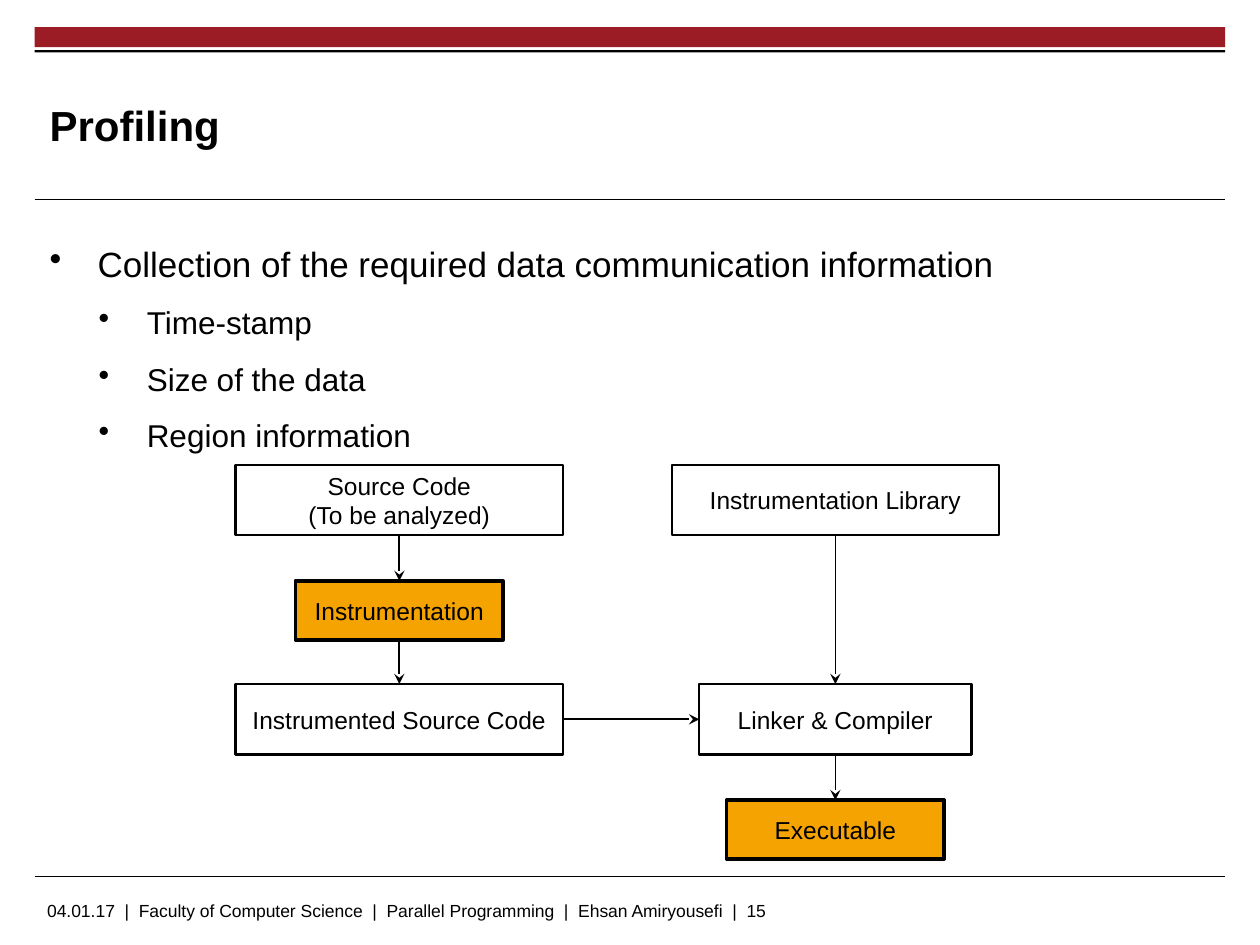
from dataclasses import dataclass
from typing import Any

from lxml.etree import SubElement as Sub
from pptx import Presentation
from pptx.dml.color import RGBColor as Rgb
from pptx.enum.shapes import MSO_CONNECTOR as Link, MSO_SHAPE as Form
from pptx.enum.text import MSO_ANCHOR as Anchor, MSO_AUTO_SIZE as Fit, PP_ALIGN as Align
from pptx.oxml.ns import qn
from pptx.util import Cm, Pt


@dataclass(frozen=True)
class Theme:
    font: str = "Arial"
    black: Rgb = Rgb(0, 0, 0)
    white: Rgb = Rgb(255, 255, 255)
    red: Rgb = Rgb(0x9C, 0x1C, 0x26)
    gold: Rgb = Rgb(0xF5, 0xA3, 0x00)
    title: int = 24
    points: tuple[int, ...] = (20, 18)
    node: int = 14
    foot: int = 10
    thin: float = 0.6
    arrow: float = 1
    edge: float = 1.25
    bold: float = 2


@dataclass(frozen=True)
class Node:
    key: str
    text: str
    mid: float
    top: float
    width: float
    gold: bool = False


@dataclass(frozen=True)
class Arrow:
    start: str
    end: str
    sides: tuple[int, int]


THEME = Theme()
LEFT, RIGHT = 8.05, 16.84
ROWS = (9.37, 11.71, 13.79, 16.13)
TALL, SHORT = 1.42, 1.19
DOWN, ACROSS = (2, 0), (3, 1)

NODES = (
    Node("source", "Source Code\n(To be analyzed)", LEFT, ROWS[0], 6.6),
    Node("library", "Instrumentation Library", RIGHT, ROWS[0], 6.6),
    Node("probe", "Instrumentation", LEFT, ROWS[1], 4.19, True),
    Node("probed", "Instrumented Source Code", LEFT, ROWS[2], 6.6),
    Node("linker", "Linker & Compiler", RIGHT, ROWS[2], 5.49),
    Node("program", "Executable", RIGHT, ROWS[3], 4.39, True),
)
ARROWS = (
    Arrow("source", "probe", DOWN),
    Arrow("probe", "probed", DOWN),
    Arrow("library", "linker", DOWN),
    Arrow("probed", "linker", ACROSS),
    Arrow("linker", "program", DOWN),
)
POINTS = (
    (0, "Collection of the required data communication information"),
    (1, "Time-stamp"),
    (1, "Size of the data"),
    (1, "Region information"),
)
FOOT = "  |  ".join(("04.01.17", "Faculty of Computer Science",
                     "Parallel Programming", "Ehsan Amiryousefi", "15"))


def apply(item: Any, **values: Any) -> None:
    for name, value in values.items():
        setattr(item, name, value)


def write(shape: Any, text: str, size: float, align: Align = Align.LEFT,
          bold: bool = False, pad: tuple[float, float] = (0, 0),
          anchor: Anchor = Anchor.MIDDLE) -> None:
    frame = shape.text_frame
    frame.text = text
    across, down = map(Cm, pad)
    apply(frame, word_wrap=True, auto_size=Fit.NONE, vertical_anchor=anchor,
          margin_left=across, margin_right=across,
          margin_top=down, margin_bottom=down)
    for para in frame.paragraphs:
        para.alignment = align
        apply(para.font, name=THEME.font, size=Pt(size), bold=bold)
        para.font.color.rgb = THEME.black


def add_rect(shapes: Any, place: tuple[float, ...], fill: Rgb) -> Any:
    rect = shapes.add_shape(Form.RECTANGLE, *map(Cm, place))
    rect.shadow.inherit = False
    rect.fill.solid()
    rect.fill.fore_color.rgb = fill
    rect.line.fill.background()
    return rect


def ink(line: Any, width: float) -> None:
    line.color.rgb = THEME.black
    line.width = Pt(width)


def add_line(shapes: Any, ends: tuple[float, ...], width: float) -> Any:
    line = shapes.add_connector(Link.STRAIGHT, *map(Cm, ends))
    ink(line.line, width)
    Sub(line._element.spPr, qn("a:effectLst"))
    return line


def add_node(shapes: Any, node: Node) -> Any:
    height = SHORT if node.gold else TALL
    place = (node.mid - node.width / 2, node.top, node.width, height)
    box = add_rect(shapes, place, THEME.gold if node.gold else THEME.white)
    ink(box.line, THEME.bold if node.gold else THEME.edge)
    write(box, node.text, THEME.node, Align.CENTER, pad=(0.25, 0.13))
    return box


def add_arrow(shapes: Any, arrow: Arrow, boxes: dict[str, Any]) -> None:
    line = add_line(shapes, (0, 0, 0, 0), THEME.arrow)
    line.begin_connect(boxes[arrow.start], arrow.sides[0])
    line.end_connect(boxes[arrow.end], arrow.sides[1])
    Sub(line.line._get_or_add_ln(), qn("a:tailEnd"), type="stealth")


def add_points(shapes: Any) -> None:
    body = shapes.add_textbox(*map(Cm, (1, 4.5, 22.9, 4.8)))
    write(body, "\n".join(text for _, text in POINTS), THEME.points[0],
          pad=(0, 0.13), anchor=Anchor.TOP)
    for para, (level, _) in zip(body.text_frame.paragraphs, POINTS):
        apply(para, level=level, line_spacing=1.3,
              space_before=Pt(2), space_after=Pt(2.3))
        para.font.size = Pt(THEME.points[level])
        props = para._p.get_or_add_pPr()
        props.set("marL", str(Cm(0.97 + 0.99 * level)))
        props.set("indent", str(-Cm(0.97)))
        bullet = props.makeelement(qn("a:buChar"), {"char": "•"})
        props.find(qn("a:defRPr")).addprevious(bullet)


def main() -> None:
    deck = Presentation()
    apply(deck, slide_width=Cm(25.4), slide_height=Cm(19.05))
    slide = deck.slides.add_slide(deck.slide_layouts[5])
    shapes = slide.shapes

    add_rect(shapes, (0.7, 0.55, 24, 0.4), THEME.red)
    add_rect(shapes, (0.7, 1.01, 24, 0.05), THEME.black)
    for y in (4.03, 17.66):
        add_line(shapes, (0.7, y, 24.7, y), THEME.thin)

    apply(shapes.title, left=Cm(1), top=Cm(1.35), width=Cm(18.44), height=Cm(2.34))
    write(shapes.title, "Profiling", THEME.title, bold=True)
    add_points(shapes)

    boxes = {node.key: add_node(shapes, node) for node in NODES}
    for arrow in ARROWS:
        add_arrow(shapes, arrow, boxes)

    foot = shapes.add_textbox(*map(Cm, (0.7, 18.03, 20, 0.64)))
    write(foot, FOOT, THEME.foot, pad=(0.25, 0))
    deck.save("out.pptx")


if __name__ == "__main__":
    main()
